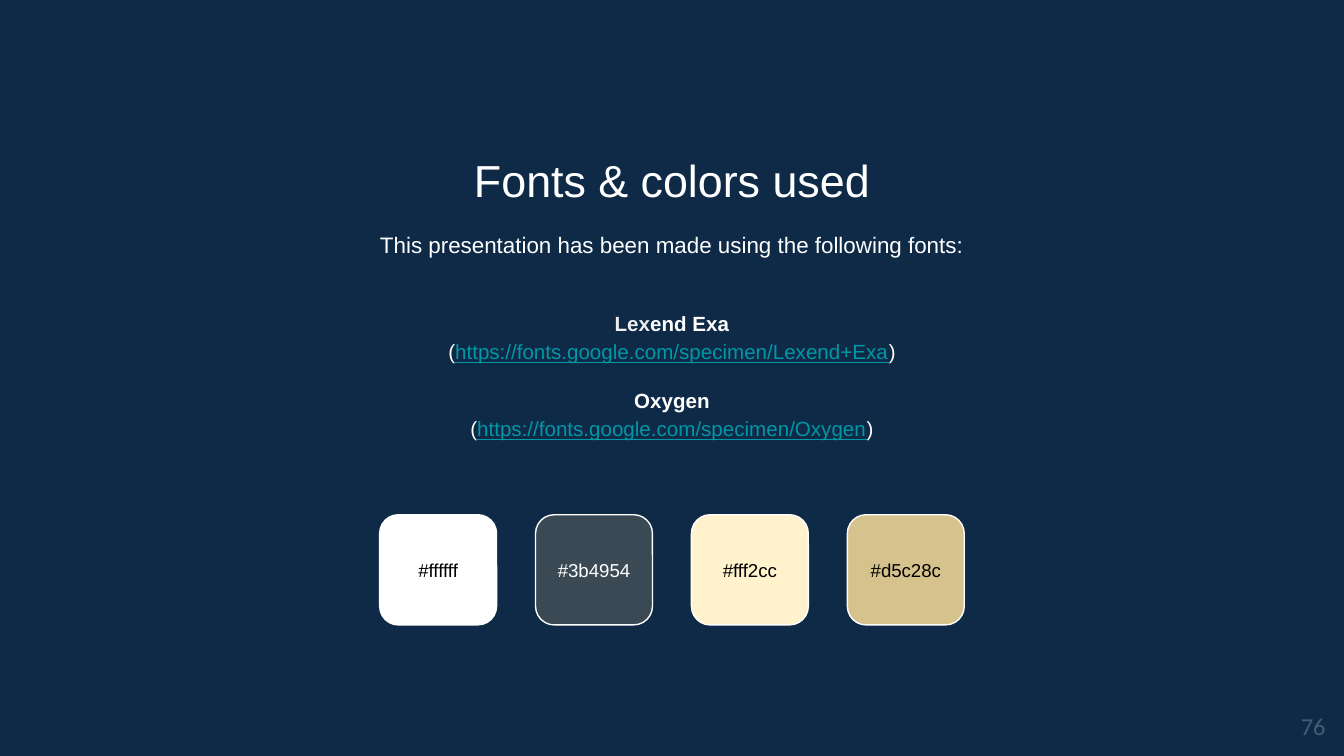
from pptx import Presentation
from pptx import util as u
from pptx.dml.color import RGBColor
from pptx.enum import shapes, text

WIDTH = 10
HEIGHT = WIDTH * 9 / 16
COLORS = {"navy": "0E2A47", "white": "FFFFFF", "black": "000000",
          "light": "EFEFEF", "link": "0097A7", "number": "435D74"}

deck = Presentation()
deck.slide_width, deck.slide_height = u.Inches(WIDTH), u.Inches(HEIGHT)
slide = deck.slides.add_slide(deck.slide_layouts[6])
slide.background.fill.solid()
slide.background.fill.fore_color.rgb = RGBColor.from_string(COLORS["navy"])


def add_text(paragraphs, box, size, color="white", font="Arial", spacing=1.0,
             align=text.PP_ALIGN.CENTER, anchor=text.MSO_ANCHOR.TOP):
    """Each paragraph is (space before, runs); each run is (words, font overrides)."""
    frame = slide.shapes.add_textbox(*(u.Inches(side) for side in box)).text_frame
    frame.word_wrap, frame.vertical_anchor = True, anchor
    frame.margin_left = frame.margin_right = u.Inches(0.1)
    frame.margin_top = frame.margin_bottom = u.Inches(0.1)
    if isinstance(paragraphs, str):
        paragraphs = [(0, [(paragraphs, {})])]
    for index, (before, runs) in enumerate(paragraphs):
        paragraph = frame.add_paragraph() if index else frame.paragraphs[0]
        paragraph.alignment, paragraph.line_spacing = align, spacing
        if before:
            paragraph.space_before = u.Pt(before)
        for words, look in runs:
            run = paragraph.add_run()
            run.text = words
            run.font.name, run.font.size = font, u.Pt(size)
            run.font.bold = look.get("bold", False)
            run.font.underline = look.get("underline", False)
            run.font.color.rgb = RGBColor.from_string(COLORS[look.get("color", color)])


# Centred text column
column = 0.77 * WIDTH
left = (WIDTH - column) / 2
add_text("Fonts & colors used", (left, 1.04, column, 0.53), 24)
add_text("This presentation has been made using the following fonts:",
         (left, 1.59, column, 0.48), 12, spacing=1.15)

bold = {"bold": True}
link = {"color": "link", "underline": True}
typefaces = [
    ([("Lex", {"bold": True, "color": "light"}), ("end Exa", bold)],
     "https://fonts.google.com/specimen/Lexend+Exa"),
    ([("Oxygen", bold)], "https://fonts.google.com/specimen/Oxygen"),
]
font_lines = []
for typeface, address in typefaces:
    font_lines.append((11 if font_lines else 0, typeface))
    font_lines.append((0, [("(", {}), (address, link), (")", {})]))
add_text(font_lines, (left, 2.1, column, 1.37), 11, spacing=1.15,
         anchor=text.MSO_ANCHOR.MIDDLE)

# Row of colour swatches, centred on the slide
palette = [("#ffffff", "black"), ("#3b4954", "white"),
           ("#fff2cc", "black"), ("#d5c28c", "black")]
pitch, swatch_width, swatch_height, row_top = 1.16, 0.87, 0.82, 3.83
label_height = 0.48
row_left = (WIDTH - pitch * (len(palette) - 1) - swatch_width) / 2
for index, (code, ink) in enumerate(palette):
    x = row_left + index * pitch
    swatch = slide.shapes.add_shape(
        shapes.MSO_SHAPE.ROUNDED_RECTANGLE, u.Inches(x), u.Inches(row_top),
        u.Inches(swatch_width), u.Inches(swatch_height))
    swatch.shadow.inherit = False
    swatch.adjustments[0] = 0.17
    swatch.fill.solid()
    swatch.fill.fore_color.rgb = RGBColor.from_string(code[1:].upper())
    swatch.line.color.rgb = RGBColor.from_string(COLORS["white"])
    swatch.line.width = u.Pt(0.75)
    label_top = row_top + (swatch_height - label_height) / 2
    add_text(code, (x, label_top, swatch_width, label_height), 10, color=ink,
             anchor=text.MSO_ANCHOR.MIDDLE)

# Page number in the bottom right corner
add_text("76", (9.36, HEIGHT - 0.43, 0.6, 0.43), 13, color="number",
         font="Calibri", align=text.PP_ALIGN.RIGHT)

deck.save("out.pptx")
